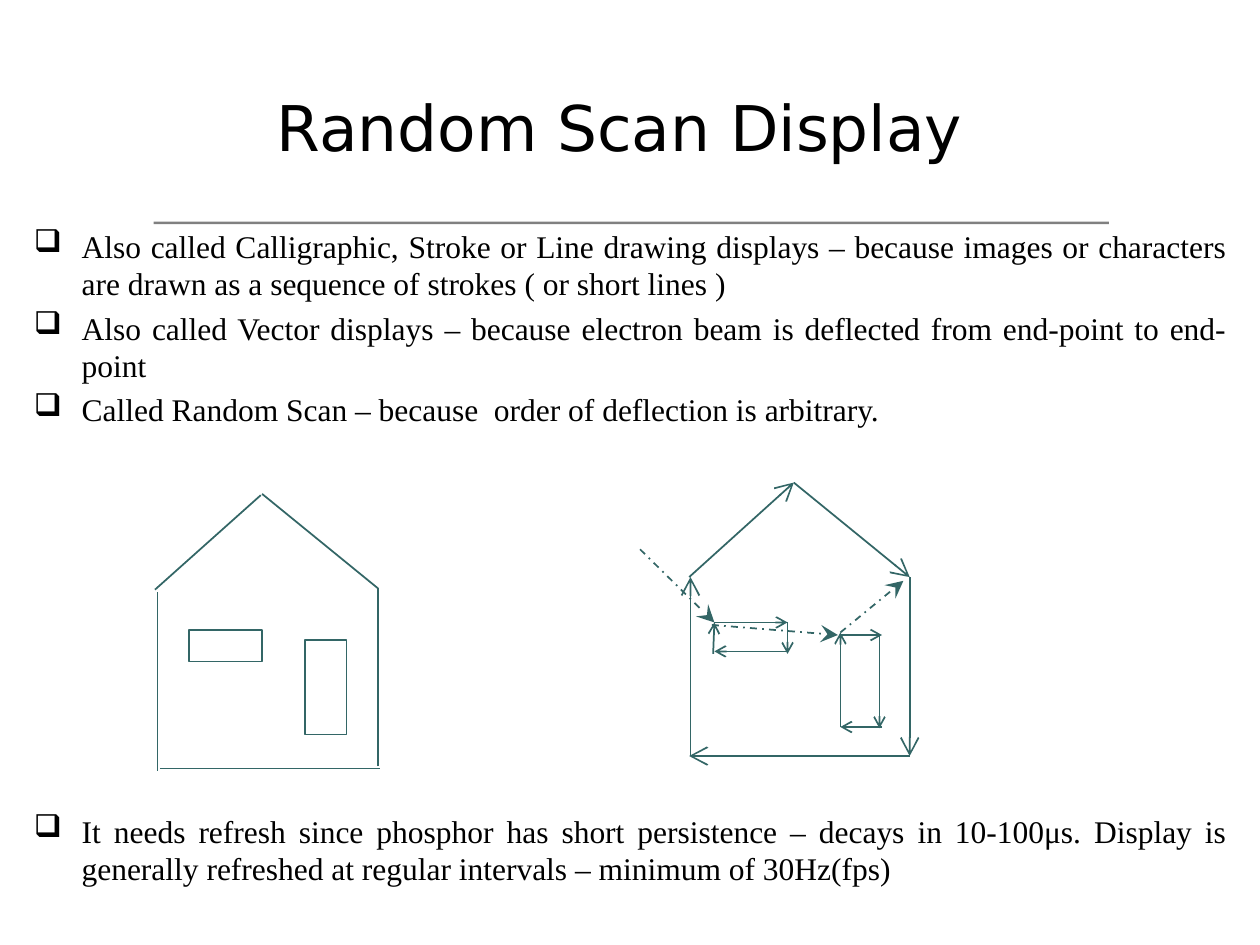
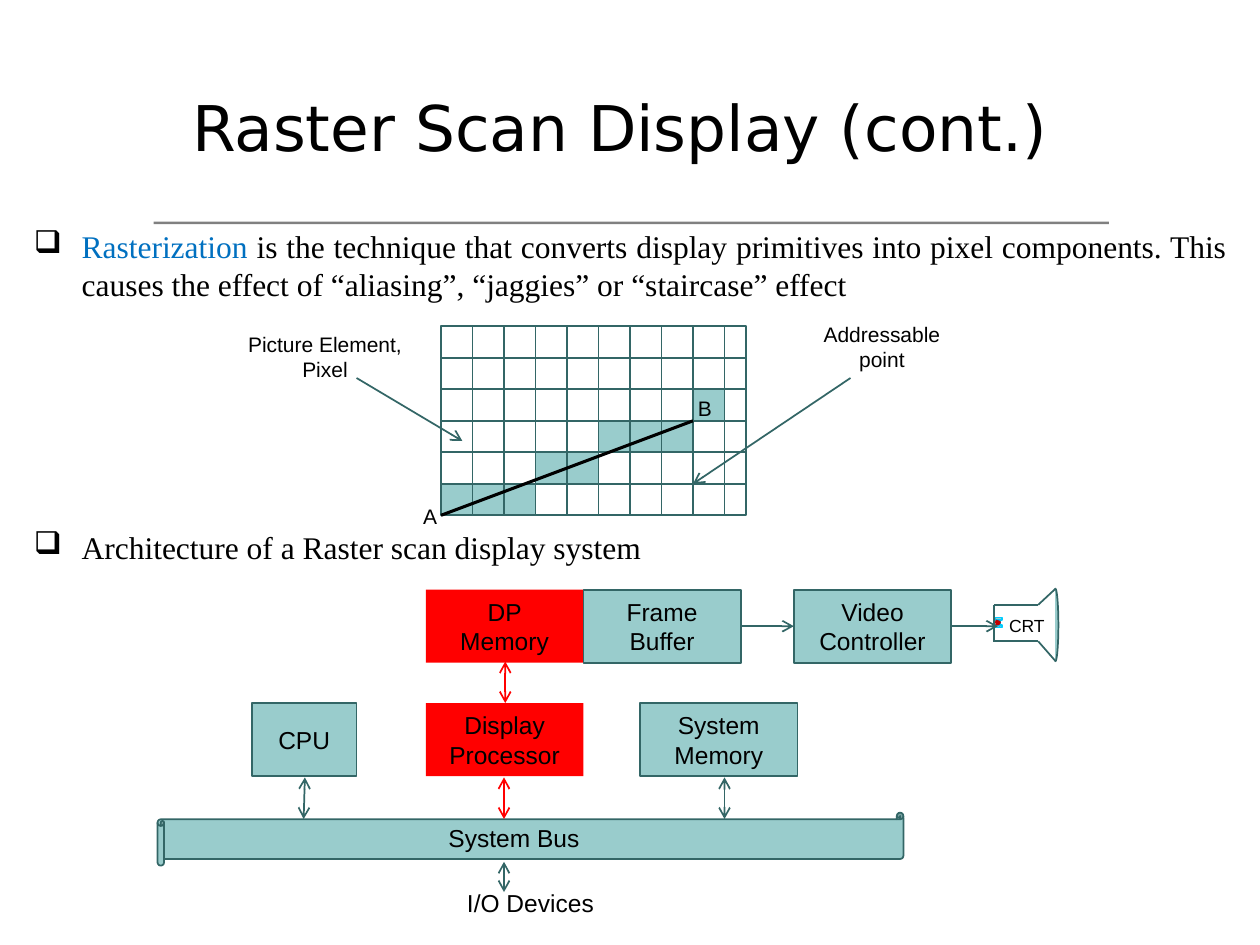
from lxml import etree
from pptx import Presentation
from pptx.dml.color import RGBColor
from pptx.enum import dml, shapes, text
from pptx.oxml import ns
from pptx.util import Inches, Pt

COLORS = {"black": "000000", "rule": "808080", "teal": "336666", "aqua": "99CCCC",
          "red": "FF0000", "blue": "0070C0", "cyan": "00CCFF", "beam": "C00000"}
TITLE_FONT, BODY_FONT, LABEL_FONT = "DejaVu Sans", "Times New Roman", "Arial"
BULLET_GAP = 3.6

RANDOM_BULLETS = [
    (BULLET_GAP, [("Also called Calligraphic, Stroke or Line drawing displays – because images or "
                   "characters are drawn as a sequence of strokes ( or short lines )", "black")]),
    (BULLET_GAP, [("Also called Vector displays – because electron beam is deflected from "
                   "end-point to end-point", "black")]),
    (BULLET_GAP, [("Called Random Scan – because  order of deflection is arbitrary.", "black")]),
    (219, [("It needs refresh since phosphor has short persistence – decays in 10-100μs. "
            "Display is generally refreshed at regular intervals – minimum of 30Hz(fps)", "black")]),
]
RASTER_BULLETS = [
    (BULLET_GAP, [("Rasterization", "blue"),
                  (" is the technique that converts display primitives into pixel components. This "
                   "causes the effect of “aliasing”, “jaggies” or “staircase” effect ", "black")]),
    (129, [("Architecture of a Raster scan display system", "black")]),
]

HOUSE_OPENINGS = [(1.5, 5, 0.58, 0.25), (2.42, 5.08, 0.33, 0.75)]
HOUSE_EDGES = [
    ((1.25, 4.7), (1.25, 6.12)), ((1.27, 6.1), (3.02, 6.1)), ((3, 6.08), (3, 4.67)),
    ((2.07, 3.93), (1.23, 4.68)), ((2.08, 3.92), (3, 4.67)),
]
OPENING_STROKES = [
    ((5.67, 4.94), (6.25, 4.94)), ((6.25, 4.94), (6.25, 5.19)),
    ((6.25, 5.17), (5.67, 5.17)), ((5.66, 5.19), (5.67, 4.94)),
    ((6.67, 5.04), (7, 5.04)), ((6.98, 5.03), (6.98, 5.78)),
    ((7, 5.77), (6.67, 5.77)), ((6.67, 5.77), (6.67, 5.02)),
]
WALL_STROKES = [
    ((5.48, 6), (5.48, 4.58)), ((7.22, 6), (5.47, 6)), ((7.22, 4.58), (7.22, 6)),
    ((5.47, 4.58), (6.3, 3.83)), ((6.3, 3.83), (7.22, 4.58)),
]
BLANKED_MOVES = [
    ((5.08, 4.36), (5.67, 4.94)), ((5.65, 4.96), (6.65, 5.04)), ((6.67, 5.02), (7.17, 4.61)),
]

GRID_LEFT, GRID_TOP, GRID_WIDTH, GRID_HEIGHT, PIXEL = 3.5, 2.59, 2.42, 1.5, 0.25
LIT_PIXELS = {2: [8], 3: [5, 6, 7], 4: [3, 4], 5: [0, 1, 2]}
GRID_LABELS = [
    ("Picture Element, Pixel", (1.83, 2.58, 1.5, 0.5)),
    ("Addressable point", (6.25, 2.5, 1.5, 0.5)),
    ("A", (3.25, 3.95, 0.33, 0.3)),
    ("B", (5.43, 3.09, 0.33, 0.3)),
]
GRID_POINTERS = [((2.83, 3), (3.67, 3.5)), ((6.75, 3), (5.5, 3.84))]

UNIT_HEIGHT = 0.58
UNITS = [
    ("CPU", 2, 5.58, 0.83, "aqua", "teal"),
    ("Display Processor", 3.38, 5.58, 1.25, "red", None),
    ("System Memory", 5.08, 5.58, 1.25, "aqua", "teal"),
    ("DP\vMemory", 3.38, 4.68, 1.25, "red", None),
    ("Frame Buffer", 4.63, 4.68, 1.25, "aqua", "teal"),
    ("Video Controller", 6.3, 4.68, 1.25, "aqua", "teal"),
]
SYSTEM_LABELS = [
    ("System Bus", (3.33, 6.48, 1.5, 0.34), 14),
    ("I/O Devices", (3.25, 7, 1.92, 0.34), 14),
    ("CRT", (7.85, 4.83, 0.6, 0.27), 10),
]
CRT_EDGES = [
    ((7.89, 4.8), (8.24, 4.8)), ((7.88, 5.09), (8.24, 5.09)), ((8.24, 4.8), (8.38, 4.67)),
    ((8.24, 5.09), (8.38, 5.25)), ((7.89, 4.8), (7.89, 5.09)),
]
GUN_PARTS = [(7.9, 4.9, 0.05, 0.02), (7.9, 4.96, 0.05, 0.02), (7.93, 4.92, 0.01, 0.05)]
GUN_COIL = [(7.9, 4.93), (7.93, 4.94), (7.92, 4.95), (7.9, 4.95)]
VIDEO_FLOW = [((7.55, 4.97), (7.92, 4.97)), ((5.88, 4.97), (6.3, 4.97))]
BUS_LINKS = [
    ((4.01, 5.58), (4.01, 5.25), "red"), ((4, 6.5), (4, 6.17), "red"),
    ((2.41, 6.5), (2.42, 6.17), "teal"), ((5.75, 6.5), (5.75, 6.17), "teal"),
    ((4, 7.08), (4, 6.84), "teal"),
]


def rgb(color):
    return RGBColor.from_string(COLORS[color])


def style_font(run, font, size, color="black"):
    run.font.name, run.font.size = font, Pt(size)
    run.font.color.rgb = rgb(color)


def style_shape(shape, fill, line, width=1):
    shape.shadow.inherit = False
    if fill:
        shape.fill.solid()
        shape.fill.fore_color.rgb = rgb(fill)
    else:
        shape.fill.background()
    if line:
        shape.line.color.rgb = rgb(line)
        shape.line.width = Pt(width)
    else:
        shape.line.fill.background()


def add_block(parent, box, fill=None, line="teal", preset=shapes.MSO_SHAPE.RECTANGLE):
    block = parent.shapes.add_shape(preset, *map(Inches, box))
    style_shape(block, fill, line)
    return block


def add_stroke(parent, start, end, color="teal", width=1, tail=None, head=None, size="med", dash=None):
    stroke = parent.shapes.add_connector(
        shapes.MSO_CONNECTOR.STRAIGHT, *map(Inches, (*start, *end)))
    stroke.line.color.rgb = rgb(color)
    stroke.line.width = Pt(width)
    if dash:
        stroke.line.dash_style = dash
    outline = stroke.line._get_or_add_ln()
    for tag, arrow in (("a:headEnd", head), ("a:tailEnd", tail)):
        if arrow:
            etree.SubElement(outline, ns.qn(tag), type=arrow, w=size, len=size)
    etree.SubElement(stroke._element.spPr, ns.qn("a:effectLst"))


def write_label(shape, words, size, font=LABEL_FONT, anchor=text.MSO_ANCHOR.TOP):
    frame = shape.text_frame
    frame.text = words
    frame.word_wrap = True
    frame.vertical_anchor = anchor
    line = frame.paragraphs[0]
    line.alignment = text.PP_ALIGN.CENTER
    for run in line.runs:
        style_font(run, font, size)


def add_label(parent, words, box, size, **style):
    write_label(parent.shapes.add_textbox(*map(Inches, box)), words, size, **style)


def add_bullets(slide, bullets, height):
    frame = slide.shapes.add_textbox(*map(Inches, (0.17, 1.75, 9.67, height))).text_frame
    frame.word_wrap = True
    for index, (gap, pieces) in enumerate(bullets):
        bullet = frame.add_paragraph() if index else frame.paragraphs[0]
        bullet.alignment = text.PP_ALIGN.JUSTIFY
        bullet.space_before = Pt(gap)
        for words, color in pieces:
            run = bullet.add_run()
            run.text = words
            style_font(run, BODY_FONT, 18, color)
        props = bullet._p.get_or_add_pPr()
        props.set("marL", str(Inches(0.38)))
        props.set("indent", str(-Inches(0.38)))
        mark_color = etree.SubElement(props, ns.qn("a:buClr"))
        etree.SubElement(mark_color, ns.qn("a:srgbClr"), val=COLORS["black"])
        etree.SubElement(props, ns.qn("a:buChar"), char="❑")


def add_page(deck, title, bullets, body_height):
    slide = deck.slides.add_slide(deck.slide_layouts[6])
    add_block(slide, (1.22, 1.76, 7.58, 0.02), "rule", None)
    add_label(slide, title, (0, 0.5, 10, 1), 36, font=TITLE_FONT, anchor=text.MSO_ANCHOR.MIDDLE)
    add_bullets(slide, bullets, body_height)
    return slide


def draw_houses(slide):
    house = slide.shapes.add_group_shape()
    for opening in HOUSE_OPENINGS:
        add_block(house, opening)
    for start, end in HOUSE_EDGES:
        add_stroke(house, start, end)
    for start, end in OPENING_STROKES:
        add_stroke(slide, start, end, tail="arrow")
    for start, end in WALL_STROKES:
        add_stroke(slide, start, end, tail="arrow", size="lg")
    for start, end in BLANKED_MOVES:
        add_stroke(slide, start, end, tail="stealth", size="lg", dash=dml.MSO_LINE.DASH_DOT)


def draw_pixel_grid(slide):
    grid = slide.shapes.add_group_shape()
    right, bottom = GRID_LEFT + GRID_WIDTH, GRID_TOP + GRID_HEIGHT
    add_block(grid, (GRID_LEFT, GRID_TOP, GRID_WIDTH, GRID_HEIGHT))
    for row in range(1, 6):
        y = GRID_TOP + row * PIXEL
        add_stroke(grid, (GRID_LEFT, y), (right, y))
    for column in range(1, 10):
        x = GRID_LEFT + column * PIXEL
        add_stroke(grid, (x, GRID_TOP), (x, bottom))
    for row, columns in LIT_PIXELS.items():
        for column in columns:
            add_block(grid, (GRID_LEFT + column * PIXEL, GRID_TOP + row * PIXEL, PIXEL, PIXEL), "aqua")
    add_stroke(grid, (GRID_LEFT, bottom), (GRID_LEFT + 8 * PIXEL, bottom - 3 * PIXEL), "black", 1.75)
    for words, box in GRID_LABELS:
        add_label(grid, words, box, 12)
    for start, end in GRID_POINTERS:
        add_stroke(grid, start, end, tail="arrow")


def draw_architecture(slide):
    system = slide.shapes.add_group_shape()
    for words, left, top, width, fill, line in UNITS:
        unit = add_block(system, (left, top, width, UNIT_HEIGHT), fill, line)
        write_label(unit, words, 14, anchor=text.MSO_ANCHOR.MIDDLE)
    for part in GUN_PARTS:
        add_block(system, part, "aqua", "cyan")
    coil = [(Inches(x), Inches(y)) for x, y in GUN_COIL]
    builder = system.shapes.build_freeform(*coil[0])
    builder.add_line_segments(coil[1:], close=False)
    style_shape(builder.convert_to_shape(), None, "beam", 2)
    for start, end in CRT_EDGES:
        add_stroke(system, start, end)
    screen = add_block(system, (8.35, 4.67, 0.05, 0.58), "aqua", preset=shapes.MSO_SHAPE.ARC)
    screen.adjustments[1] = 54
    add_block(system, (1.25, 6.45, 5.92, 0.42), "aqua", preset=shapes.MSO_SHAPE.HORIZONTAL_SCROLL)
    for words, box, size in SYSTEM_LABELS:
        add_label(system, words, box, size)
    for start, end in VIDEO_FLOW:
        add_stroke(system, start, end, tail="arrow")
    for start, end, color in BUS_LINKS:
        add_stroke(system, start, end, color, head="arrow", tail="arrow")


deck = Presentation()
deck.slide_width, deck.slide_height = Inches(10), Inches(7.5)
draw_houses(add_page(deck, "Random Scan Display ", RANDOM_BULLETS, 5.5))
raster = add_page(deck, "Raster Scan Display (cont.) ", RASTER_BULLETS, 2.92)
draw_pixel_grid(raster)
draw_architecture(raster)
deck.save("out.pptx")
